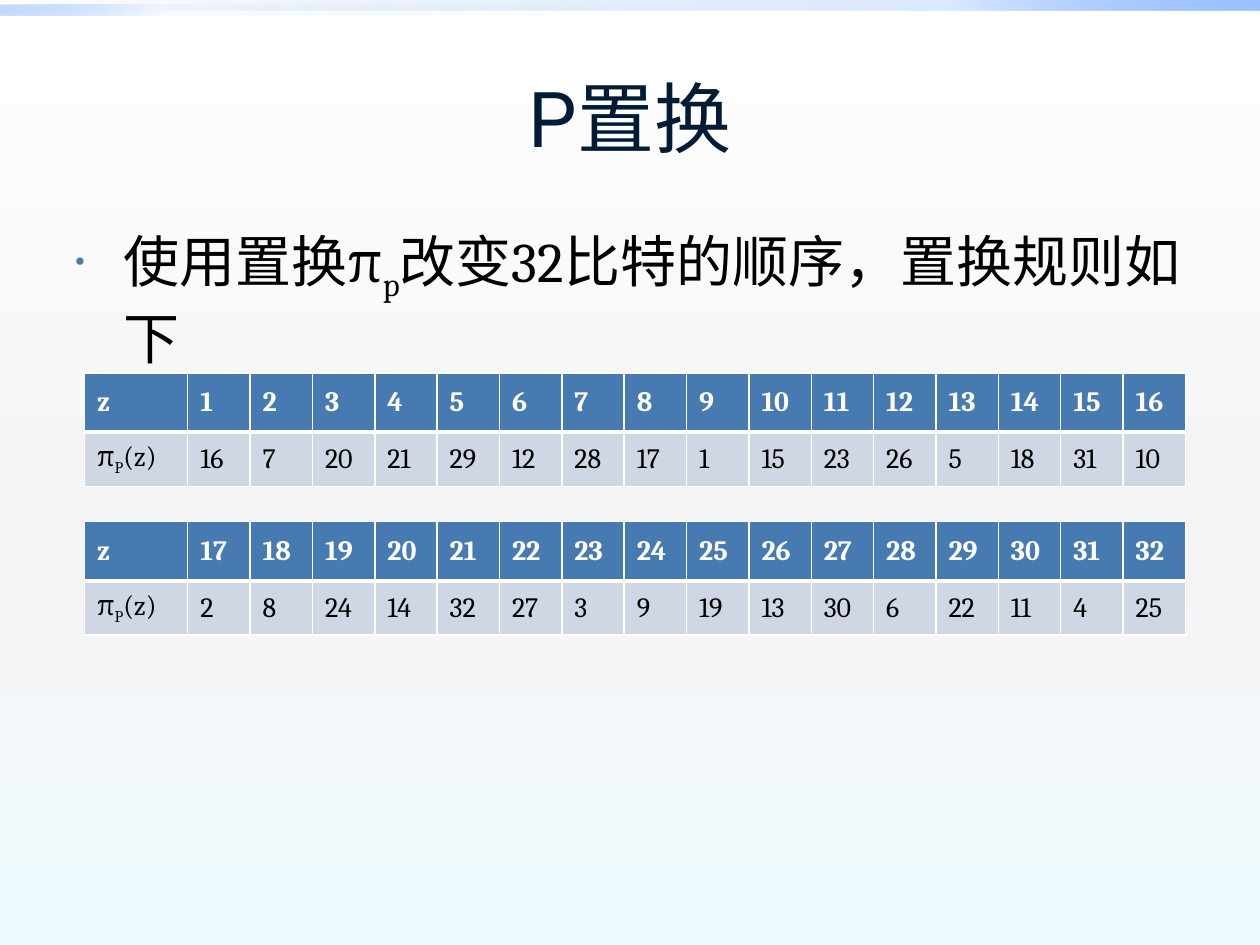
import lxml.etree
import pptx
import pptx.dml.color
import pptx.enum.shapes
import pptx.enum.text
import pptx.oxml.ns
import pptx.util

Inches = pptx.util.Inches
Pt = pptx.util.Pt
RGBColor = pptx.dml.color.RGBColor
qn = pptx.oxml.ns.qn
SubElement = lxml.etree.SubElement

WHITE = RGBColor(0xFF, 0xFF, 0xFF)
BLACK = RGBColor(0x00, 0x00, 0x00)
NAVY = RGBColor(0x00, 0x1B, 0x36)
STEEL = RGBColor(0x47, 0x7A, 0xB1)
PALE = RGBColor(0xCF, 0xD7, 0xE4)
GREY = RGBColor(0xF4, 0xF4, 0xF4)
ICE = RGBColor(0xEE, 0xF9, 0xFF)
DEEP_BLUE = RGBColor(0x00, 0x58, 0xB7)
BLUE = RGBColor(0x4F, 0x95, 0xFF)
SKY = RGBColor(0x9E, 0xC2, 0xFF)


def set_gradient(owner, fill, angle, stops):
    """Fill with (position %, colour, opacity %) stops; angle is counter-clockwise."""
    fill.gradient()
    fill.gradient_angle = angle
    gs_list = next(owner.element.iter(qn("a:gsLst")))
    for gs in list(gs_list):
        gs_list.remove(gs)
    for position, color, opacity in stops:
        gs = SubElement(gs_list, qn("a:gs"), pos=str(position * 1000))
        clr = SubElement(gs, qn("a:srgbClr"), val=str(color))
        SubElement(clr, qn("a:alpha"), val=str(opacity * 1000))


def add_runs(p, parts, **font_format):
    """Add (text, baseline %) runs that share one font format."""
    for text, baseline in parts:
        r = p.add_run()
        r.text = text
        color = font_format["color"]
        for name, value in font_format.items():
            if name != "color":
                setattr(r.font, name, value)
        r.font.color.rgb = color
        if baseline:
            r._r.get_or_add_rPr().set("baseline", str(baseline * 1000))


prs = pptx.Presentation()
prs.slide_width, prs.slide_height = Inches(10), Inches(7.5)
s = prs.slides.add_slide(prs.slide_layouts[6])
set_gradient(s, s.background.fill, 270,
             [(0, WHITE, 100), (55, GREY, 100), (100, ICE, 100)])

# Top bands
bands = [
    (0, 10, 45, [(0, DEEP_BLUE, 0), (75, BLUE, 20), (100, SKY, 100)]),
    (0.04, 5, 225, [(0, DEEP_BLUE, 0), (75, BLUE, 5), (100, SKY, 60)]),
]
for top, width, angle, stops in bands:
    sp = s.shapes.add_shape(pptx.enum.shapes.MSO_SHAPE.RECTANGLE,
                            0, Inches(top), Inches(width), Inches(0.08))
    sp.shadow.inherit = False
    sp.line.fill.background()
    set_gradient(sp, sp.fill, angle, stops)

# Title
tf = s.shapes.add_textbox(Inches(0.5), Inches(0.3), Inches(9), Inches(1.25)).text_frame
tf.word_wrap = True
tf.vertical_anchor = pptx.enum.text.MSO_ANCHOR.MIDDLE
p = tf.paragraphs[0]
p.alignment = pptx.enum.text.PP_ALIGN.CENTER
add_runs(p, [("P置换", 0)], name="Roboto", size=Pt(44), color=NAVY)

# Bulleted statement
tf = s.shapes.add_textbox(Inches(0.5), Inches(1.75), Inches(9), Inches(1.21)).text_frame
tf.word_wrap = True
p = tf.paragraphs[0]
pPr = p._p.get_or_add_pPr()
pPr.set("marL", str(Inches(0.38)))
pPr.set("indent", str(-Inches(0.38)))
SubElement(SubElement(pPr, qn("a:buClr")), qn("a:srgbClr"), val=str(STEEL))
SubElement(pPr, qn("a:buSzPct"), val="50000")
SubElement(pPr, qn("a:buChar"), char="•")
add_runs(p, [("使用置换π", 0), ("p", -25), ("改变32比特的顺序，置换规则如下", 0)],
         name="Cambria", size=Pt(32), color=BLACK)

# Permutation tables
permutation = [16, 7, 20, 21, 29, 12, 28, 17, 1, 15, 23, 26, 5, 18, 31, 10,
               2, 8, 24, 14, 32, 27, 3, 9, 19, 13, 30, 6, 22, 11, 4, 25]
HALF = 16
row_styles = [(0.47, STEEL, WHITE, True, 3), (0.43, PALE, BLACK, False, 1)]
for start, top in [(0, 2.96), (HALF, 4.14)]:
    table = s.shapes.add_table(2, HALF + 1, Inches(0.67), Inches(top),
                               Inches(8.74), Inches(0.9)).table
    for i, column in enumerate(table.columns):
        column.width = Inches(0.82) if i == 0 else Inches((8.74 - 0.82) / HALF)
    positions = range(start + 1, start + HALF + 1)
    images = permutation[start:start + HALF]
    rows = [
        [[("z", 0)]] + [[(str(z), 0)] for z in positions],
        [[("π", 0), ("P", -25), ("(z)", 0)]] + [[(str(z), 0)] for z in images],
    ]
    for row, contents, style in zip(table.rows, rows, row_styles):
        height, fill, color, bold, bottom = style
        row.height = Inches(height)
        for cell, parts in zip(row.cells, contents):
            cell.vertical_anchor = pptx.enum.text.MSO_ANCHOR.MIDDLE
            tcPr = cell._tc.get_or_add_tcPr()
            for side, width in [("L", 1), ("R", 1), ("T", 1), ("B", bottom)]:
                ln = SubElement(tcPr, qn("a:ln" + side), w=str(Pt(width)))
                SubElement(SubElement(ln, qn("a:solidFill")), qn("a:srgbClr"), val=str(WHITE))
            cell.fill.solid()
            cell.fill.fore_color.rgb = fill
            add_runs(cell.text_frame.paragraphs[0], parts,
                     name="Cambria", size=Pt(16), bold=bold, color=color)

prs.save("out.pptx")
